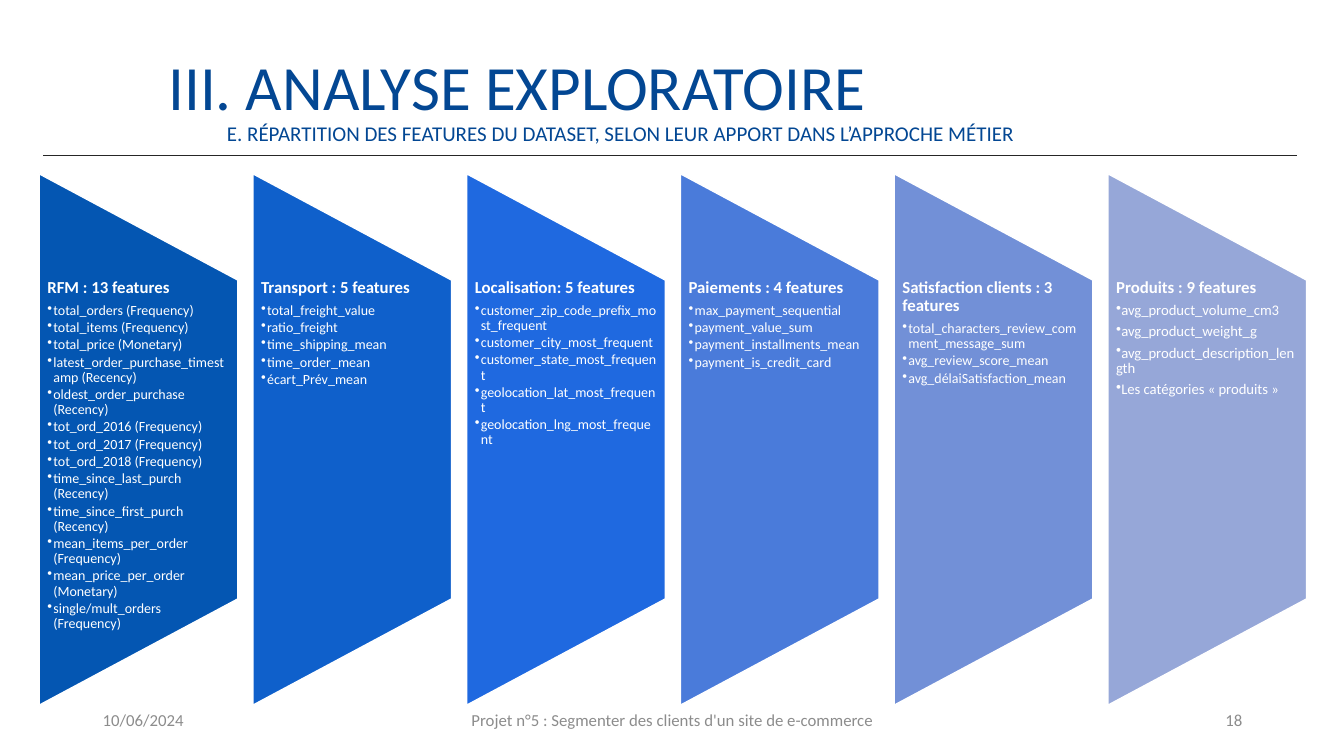
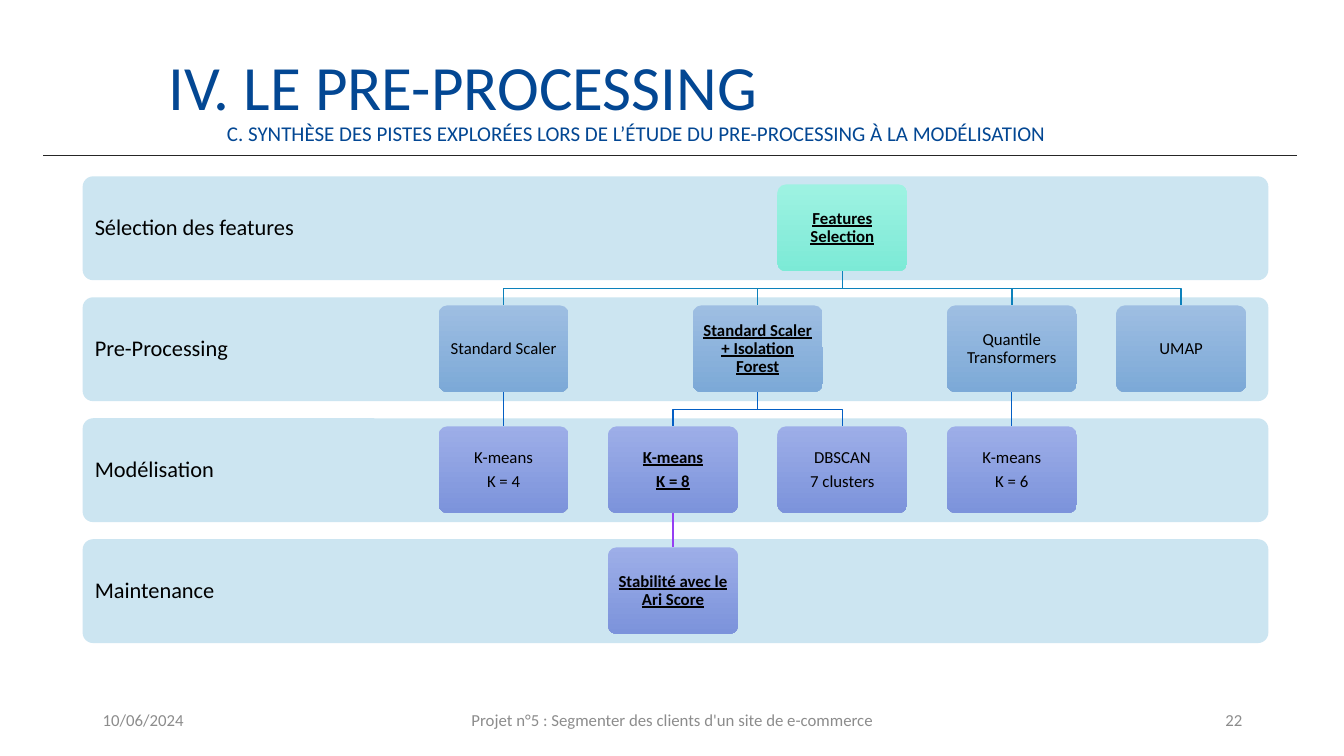
from dataclasses import dataclass

from pptx import Presentation
from pptx.dml.color import RGBColor
from pptx.enum.shapes import MSO_CONNECTOR, MSO_SHAPE
from pptx.enum.text import MSO_ANCHOR, PP_ALIGN
from pptx.oxml.ns import qn
from pptx.util import Inches, Pt


@dataclass(frozen=True)
class Theme:
    font: str = "Calibri"
    # Colours
    title: str = "034793"
    rule: str = "262626"
    foot: str = "8C8C8C"
    light: str = "FFFFFF"
    dark: str = "000000"
    lane: str = "CCE5F1"
    mint: tuple = ("9EF2E2", "7CEAD6")
    sky: tuple = ("9EBEE2", "7CA9D7")
    iris: tuple = ("9DAEE8", "7C93DB")
    links: tuple = ("0D81BB", "045FC4", "953FF3")
    # Type sizes
    big: float = 45
    sub: float = 15
    row: float = 16
    body: float = 12
    item: float = 10
    wide: float = 10.5
    # Line spacing, and the gap after a paragraph as a share of its size
    pitch: float = 0.9
    gap: float = 0.35
    tight: float = 0.15


def rgb(code):
    return RGBColor.from_string(code)


class Deck:
    def __init__(self, theme):
        self.theme = theme
        self.prs = Presentation()
        self.prs.slide_width, self.prs.slide_height = Inches(13.33), Inches(7.5)
        self.slide = None

    # Text
    def style(self, par, size, color, bold=False, under=False,
              align=PP_ALIGN.LEFT, gap=0):
        par.alignment = align
        par.line_spacing = self.theme.pitch
        par.space_after = Pt(round(size * gap, 1))
        for run in par.runs:
            font = run.font
            font.name, font.size = self.theme.font, Pt(size)
            font.bold, font.underline = bold, under
            font.color.rgb = rgb(color)

    def frame(self, shape, pad, anchor):
        frame = shape.text_frame
        frame.word_wrap = True
        frame.vertical_anchor = anchor
        frame.margin_left = frame.margin_right = Inches(pad[0])
        frame.margin_top = frame.margin_bottom = Inches(pad[1])
        return frame

    def fill_text(self, shape, text, size, color, pad,
                  anchor=MSO_ANCHOR.MIDDLE, **look):
        frame = self.frame(shape, pad, anchor)
        frame.text = text
        for par in frame.paragraphs:
            self.style(par, size, color, **look)

    def box(self, x, y, w, h):
        return self.slide.shapes.add_textbox(
            Inches(x), Inches(y), Inches(w), Inches(h))

    def bullet(self, par, left, hang):
        props = par._p.get_or_add_pPr()
        props.set("marL", str(Inches(left)))
        props.set("indent", str(Inches(-hang)))
        mark = props.makeelement(qn("a:buChar"), {"char": "•"})
        props.append(mark)

    # Shapes
    def shape(self, kind, x, y, w, h, fill):
        shape = self.slide.shapes.add_shape(
            kind, Inches(x), Inches(y), Inches(w), Inches(h))
        shape.shadow.inherit = False
        shape.line.fill.background()
        if isinstance(fill, tuple):
            shape.fill.gradient()
            shape.fill.gradient_angle = 270
            for stop, code in zip(shape.fill.gradient_stops, fill):
                stop.color.rgb = rgb(code)
        else:
            shape.fill.solid()
            shape.fill.fore_color.rgb = rgb(fill)
        if kind == MSO_SHAPE.ROUNDED_RECTANGLE:
            shape.adjustments[0] = 0.1
        return shape

    def line(self, kind, x1, y1, x2, y2, color):
        line = self.slide.shapes.add_connector(kind, x1, y1, x2, y2)
        line.line.width = Pt(1)
        line.line.color.rgb = rgb(color)
        props = line._element.spPr
        props.append(props.makeelement(qn("a:effectLst"), {}))
        return line

    # Shared page: title, subtitle, rule and footer
    def page(self, title, sub, number):
        t = self.theme
        self.slide = self.prs.slides.add_slide(self.prs.slide_layouts[6])
        y = Inches(1.54)
        self.line(MSO_CONNECTOR.STRAIGHT, Inches(0.43), y, Inches(12.86), y, t.rule)
        feet = [(0.92, 3, "10/06/2024", PP_ALIGN.LEFT),
                (4.42, 4.5, "Projet n°5 : Segmenter des clients d'un site de e-commerce",
                 PP_ALIGN.CENTER),
                (9.42, 3, str(number), PP_ALIGN.RIGHT)]
        for x, w, text, align in feet:
            self.fill_text(self.box(x, 6.95, w, 0.4), text, t.body, t.foot,
                           (0.1, 0.05), align=align)
        self.fill_text(self.box(1.67, 0.37, 11.39, 0.91), title, t.big, t.title,
                       (0, 0.05), MSO_ANCHOR.BOTTOM)
        self.fill_text(self.box(2.25, 1.14, 11.39, 0.4), sub, t.sub, t.title,
                       (0, 0.05))

    # Slanted column with a heading and bullets
    def pillar(self, x, color, head, items, loose=False):
        t = self.theme
        w, h, mid = 1.97, 5.27, 4.36
        shape = self.shape(MSO_SHAPE.FLOWCHART_MANUAL_OPERATION,
                           x + (w - h) / 2, mid - w / 2, h, w, color)
        shape.rotation = 270
        shape.line.color.rgb = rgb(t.light)
        shape.line.width = Pt(1)
        frame = self.frame(self.box(x, 2.77, w, 3.16), (0.08, 0), MSO_ANCHOR.TOP)
        frame.text = "\n".join([head, *items])
        first, *rest = frame.paragraphs
        self.style(first, t.body, t.light, bold=True, gap=t.gap)
        for par in rest:
            self.bullet(par, 0 if loose else 0.06, 0.06)
            self.style(par, t.wide if loose else t.item, t.light,
                       gap=t.gap if loose else t.tight)

    # Labelled row behind the tree
    def lane(self, y, text):
        t = self.theme
        shape = self.shape(MSO_SHAPE.ROUNDED_RECTANGLE, 0.82, y, 11.76, 1.03, t.lane)
        self.fill_text(shape, text, t.row, t.dark, (0.09, 0.09), gap=t.gap)

    def node(self, x, y, text, fill, chosen):
        t = self.theme
        shape = self.shape(MSO_SHAPE.ROUNDED_RECTANGLE, x, y, 1.29, 0.86, fill)
        self.fill_text(shape, text, t.body, t.dark, (0.05, 0.05), bold=chosen,
                       under=chosen, align=PP_ALIGN.CENTER, gap=t.gap)
        return shape

    # Link from the foot of one node to the head of another
    def link(self, top, low, color):
        x1, y1 = top.left + top.width // 2, top.top + top.height
        x2, y2 = low.left + low.width // 2, low.top
        wide, tall = abs(x2 - x1), y2 - y1
        kind = MSO_CONNECTOR.ELBOW if wide else MSO_CONNECTOR.STRAIGHT
        line = self.line(kind, x1, y1, x2, y2, color)
        line.begin_connect(top, 2)
        line.end_connect(low, 0)
        if wide:
            # A quarter turn makes the elbow leave and arrive vertically
            line.left = (x1 + x2 - tall) // 2
            line.top = (y1 + y2 - wide) // 2
            line.width, line.height = tall, wide
            form = line._element.spPr.find(qn("a:xfrm"))
            form.set("rot", "16200000" if x2 > x1 else "5400000")
            form.set("flipH", "1" if x2 > x1 else "0")


PILLARS = [
    ("0456B2", "RFM : 13 features", [
        "total_orders (Frequency)", "total_items (Frequency)",
        "total_price (Monetary)", "latest_order_purchase_timestamp (Recency)",
        "oldest_order_purchase (Recency)", "tot_ord_2016 (Frequency)",
        "tot_ord_2017 (Frequency)", "tot_ord_2018 (Frequency)",
        "time_since_last_purch (Recency)", "time_since_first_purch (Recency)",
        "mean_items_per_order (Frequency)", "mean_price_per_order (Monetary)",
        "single/mult_orders (Frequency)"]),
    ("0F60CB", "Transport : 5 features", [
        "total_freight_value", "ratio_freight", "time_shipping_mean",
        "time_order_mean", "écart_Prév_mean"]),
    ("1F69E0", "Localisation: 5 features", [
        "customer_zip_code_prefix_most_frequent", "customer_city_most_frequent",
        "customer_state_most_frequent", "geolocation_lat_most_frequent",
        "geolocation_lng_most_frequent"]),
    ("4A7BDA", "Paiements : 4 features", [
        "max_payment_sequential", "payment_value_sum",
        "payment_installments_mean", "payment_is_credit_card"]),
    ("7290D7", "Satisfaction clients : 3 features", [
        "total_characters_review_comment_message_sum",
        "avg_review_score_mean", "avg_délaiSatisfaction_mean"]),
    ("96A7D8", "Produits : 9 features", [
        "avg_product_volume_cm3", "avg_product_weight_g",
        "avg_product_description_length", "Les catégories « produits »"]),
]

LANES = ["Sélection des features", "Pre-Processing", "Modélisation", "Maintenance"]

# Key: column, row, text, chosen path, parent key
NODES = {
    "root": (2, 0, "Features Selection", True, None),
    "scale": (0, 1, "Standard Scaler", False, "root"),
    "forest": (1.5, 1, "Standard Scaler + Isolation Forest", True, "root"),
    "quant": (3, 1, "Quantile Transformers", False, "root"),
    "umap": (4, 1, "UMAP", False, "root"),
    "four": (0, 2, "K-means\nK = 4", False, "scale"),
    "eight": (1, 2, "K-means\nK = 8", True, "forest"),
    "scan": (2, 2, "DBSCAN\n7 clusters", False, "forest"),
    "six": (3, 2, "K-means\nK = 6", False, "quant"),
    "score": (1, 3, "Stabilité avec le Ari Score", True, "eight"),
}


def main():
    theme = Theme()
    deck = Deck(theme)

    # Features by business theme
    deck.page("III. ANALYSE EXPLORATOIRE",
              "E. RÉPARTITION DES FEATURES DU DATASET, SELON LEUR APPORT "
              "DANS L’APPROCHE MÉTIER", 18)
    for i, (color, head, items) in enumerate(PILLARS):
        deck.pillar(0.39 + 2.12 * i, color, head, items, loose=i == len(PILLARS) - 1)

    # Tree of explored options
    deck.page("IV. LE PRE-PROCESSING",
              "C. SYNTHÈSE DES PISTES EXPLORÉES LORS DE L’ÉTUDE DU "
              "PRE-PROCESSING À LA MODÉLISATION", 22)
    top, step = 1.75, 1.2
    for row, text in enumerate(LANES):
        deck.lane(top + step * row, text)
    fills = (theme.mint, theme.sky, theme.iris, theme.iris)
    made = {}
    for key, (col, row, text, chosen, parent) in NODES.items():
        made[key] = deck.node(4.35 + 1.68 * col, top + 0.08 + step * row,
                              text, fills[row], chosen)
        if parent:
            deck.link(made[parent], made[key], theme.links[row - 1])

    deck.prs.save("out.pptx")


if __name__ == "__main__":
    main()
